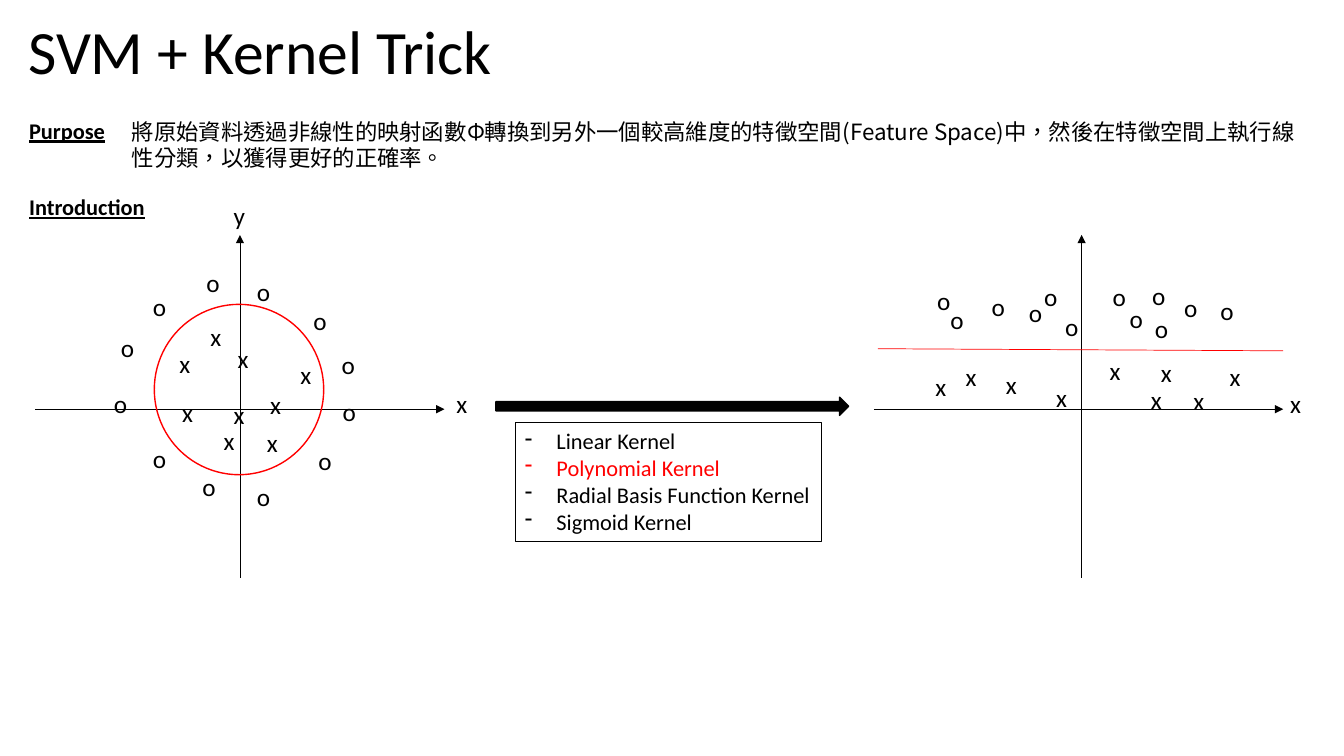
from lxml import etree
from pptx import Presentation
from pptx.dml.color import RGBColor
from pptx.enum.shapes import MSO_CONNECTOR, MSO_SHAPE
from pptx.enum.text import MSO_ANCHOR as Anchor, MSO_AUTO_SIZE as AutoSize, PP_ALIGN as Align
from pptx.oxml.ns import qn
from pptx.util import Pt

BLACK = RGBColor(0x00, 0x00, 0x00)
RED = RGBColor(0xFF, 0x00, 0x00)
LATIN_FONT = "Calibri"
CHINESE_FONT = "Noto Sans CJK SC"

AXIS_TOP, AXIS_BOTTOM, AXIS_Y = 167.8, 412.6, 292.3
MARK_WIDTH, MARK_HEIGHT = 19.4, 28.8

# Left and top of each mark, by letter
CIRCLE_DATA = {
    "x": [(121, 245.5), (159.8, 281.5), (143.3, 226.1), (152.6, 300.2), (185.8, 274.3),
          (207.4, 253.4), (183.6, 301.7), (123.1, 280.1), (162.7, 241.9)],
    "o": [(140.4, 187.2), (237.6, 279.4), (137.5, 333.4), (236.9, 246.2), (176.4, 193.7),
          (176.4, 340.6), (74.2, 273.6), (79.2, 234), (102.2, 204.5), (220.3, 314.6),
          (216.7, 214.6), (102.2, 313.2)],
}
SEPARATED_DATA = {
    "x": [(661, 261.4), (822.2, 252), (682.6, 254.9), (815, 270.7), (871.2, 254.9),
          (747.4, 269.3), (845.3, 271.4), (785.5, 250.6), (711.4, 260.6)],
    "o": [(817.9, 220.3), (787.7, 197.3), (815.8, 196.6), (799.9, 213.1), (838.8, 205.2),
          (753.8, 218.9), (701.3, 204.5), (864.7, 207.4), (727.9, 208.8), (671.8, 213.8),
          (738.7, 197.3), (662.4, 200.2)],
}
KERNELS = [("Linear Kernel", BLACK), ("Polynomial Kernel", RED),
           ("Radial Basis Function Kernel", BLACK), ("Sigmoid Kernel", BLACK)]


def add_span(para, text, size, color=BLACK, font=LATIN_FONT):
    span = para.add_run()
    span.text = text
    span.font.name = font
    span.font.size = Pt(size)
    span.font.color.rgb = color
    return span


def add_box(page, left, top, width, height):
    box = page.shapes.add_textbox(Pt(left), Pt(top), Pt(width), Pt(height))
    box.text_frame.word_wrap = True
    box.text_frame.auto_size = AutoSize.SHAPE_TO_FIT_TEXT
    return box


def add_title(page, text):
    frame = add_box(page, 13, 10.1, 929.5, 57.6).text_frame
    frame.auto_size = AutoSize.NONE
    frame.vertical_anchor = Anchor.MIDDLE
    para = frame.paragraphs[0]
    para.line_spacing = 0.9
    add_span(para, text, 44)


def add_heading(page, text, top, width):
    box = add_box(page, 13.7, top, width, 26.6)
    span = add_span(box.text_frame.paragraphs[0], text, 16)
    span.font.bold = True
    span.font.underline = True


def add_chinese_text(page, text, left, top, width, height):
    box = add_box(page, left, top, width, height)
    span = add_span(box.text_frame.paragraphs[0], text, 16, font=CHINESE_FONT)
    properties = span.font._element
    properties.set("lang", "zh-TW")
    etree.SubElement(properties, qn("a:ea"), typeface=CHINESE_FONT)


def add_mark(page, letter, left, top):
    box = add_box(page, left, top, MARK_WIDTH, MARK_HEIGHT)
    add_span(box.text_frame.paragraphs[0], letter, 18)


def add_marks(page, data):
    for letter, places in data.items():
        for left, top in places:
            add_mark(page, letter, left, top)


def add_line(page, start, end, color=BLACK, arrow=False):
    line = page.shapes.add_connector(
        MSO_CONNECTOR.STRAIGHT, *(Pt(value) for value in start + end))
    line.line.color.rgb = color
    line.line.width = Pt(0.5)
    if arrow:
        etree.SubElement(line.line._get_or_add_ln(), qn("a:tailEnd"), type="triangle")
    etree.SubElement(line._element.spPr, qn("a:effectLst"))


def add_axes(page, left, right, center):
    add_line(page, (center, AXIS_BOTTOM), (center, AXIS_TOP), arrow=True)
    add_line(page, (left, AXIS_Y), (right, AXIS_Y), arrow=True)


def add_outlined_shape(page, kind, left, top, width, height, color, fill=None):
    shape = page.shapes.add_shape(kind, Pt(left), Pt(top), Pt(width), Pt(height))
    shape.shadow.inherit = False
    if fill is None:
        shape.fill.background()
    else:
        shape.fill.solid()
        shape.fill.fore_color.rgb = fill
    shape.line.color.rgb = color
    shape.line.width = Pt(1)


def add_kernel_list(page, left, top, width, height):
    box = add_box(page, left, top, width, height)
    box.line.color.rgb = BLACK
    box.line.width = Pt(0.75)
    frame = box.text_frame
    for index, (name, color) in enumerate(KERNELS):
        para = frame.add_paragraph() if index else frame.paragraphs[0]
        para.alignment = Align.LEFT
        properties = para._p.get_or_add_pPr()
        properties.set("marL", str(Pt(22.5)))
        properties.set("indent", str(Pt(-22.5)))
        etree.SubElement(properties, qn("a:buFontTx"))
        etree.SubElement(properties, qn("a:buChar"), char="-")
        add_span(para, name, 16, color)


def main():
    deck = Presentation()
    deck.slide_width, deck.slide_height = Pt(960), Pt(540)
    page = deck.slides.add_slide(deck.slide_layouts[6])

    add_title(page, "SVM + Kernel Trick")
    add_heading(page, "Purpose", 79.9, 79.2)
    add_chinese_text(
        page,
        "將原始資料透過非線性的映射函數Φ轉換到另外一個較高維度的特徵空間(Feature Space)中，"
        "然後在特徵空間上執行線性分類，以獲得更好的正確率。",
        87.1, 80.6, 855.4, 46.1)
    add_heading(page, "Introduction", 134.6, 107.3)

    add_axes(page, 624.2, 916.6, 772.6)
    add_marks(page, SEPARATED_DATA)
    add_axes(page, 25.2, 317.5, 171.4)
    add_marks(page, CIRCLE_DATA)
    add_outlined_shape(page, MSO_SHAPE.OVAL, 110.2, 217.4, 121, 121.7, RED)
    add_mark(page, "y", 159.8, 139.7)
    add_mark(page, "x", 319, 273.6)
    add_line(page, (627.1, 249.1), (916.6, 250.6), RED)
    add_mark(page, "x", 914.4, 273.6)

    add_outlined_shape(page, MSO_SHAPE.RIGHT_ARROW, 354.2, 283.7, 252, 13, BLACK, BLACK)
    add_kernel_list(page, 367.9, 301.7, 218.9, 85)
    deck.save("out.pptx")


if __name__ == "__main__":
    main()
